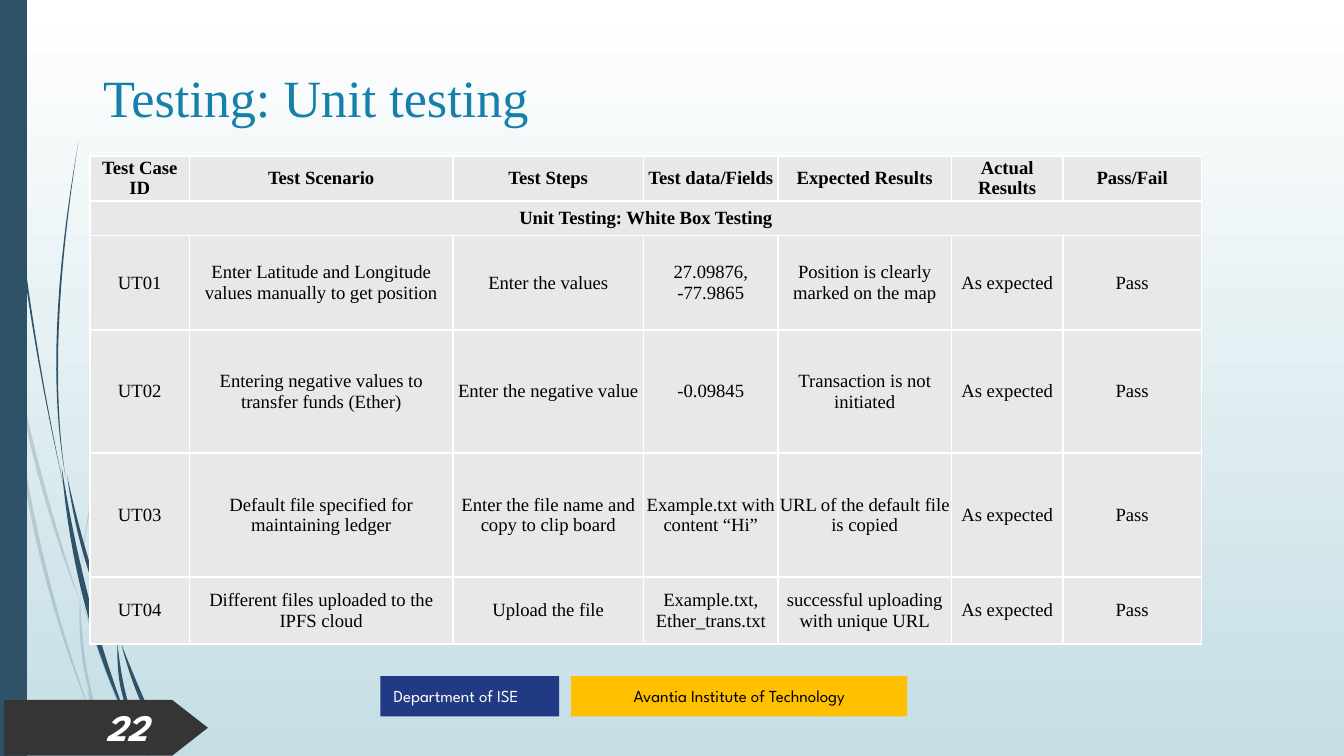
from lxml.etree import SubElement
from pptx import Presentation
from pptx.dml.color import RGBColor
from pptx.enum.shapes import MSO_SHAPE as Shape
from pptx.enum.text import MSO_ANCHOR as Anchor, PP_ALIGN as Align
from pptx.oxml.ns import qn
from pptx.util import Pt

WHITE = RGBColor(0xFF, 0xFF, 0xFF)
BLACK = RGBColor(0x00, 0x00, 0x00)
PALE_BLUE = RGBColor(0xC5, 0xDE, 0xE5)
SLATE = RGBColor(0x2E, 0x53, 0x69)
AMBER = RGBColor(0xFF, 0xC0, 0x00)
NAVY = RGBColor(0x22, 0x3A, 0x84)
CHARCOAL = RGBColor(0x35, 0x35, 0x35)
TEAL = RGBColor(0x15, 0x81, 0xAA)
LIGHT_GREY = RGBColor(0xE8, 0xE8, 0xE8)
SERIF, SANS = "Times New Roman", "League Spartan"

# Grass blades: start, middle and end of the curve, then the thickness at its middle
PALE_BLADES = [
    ((0, 156), (3, 173), (6, 189), 2),
    ((7, 187), (21, 253), (43, 323), 2),
    ((44, 322), (59, 364), (76, 405), 2),
    ((6, 189), (20, 288), (50, 386), 2),
    ((43, 317), (45, 354), (53, 384), 1.5),
    ((43, 318), (73, 198), (156, 83), 1),
    ((47, 369), (52, 387), (59, 405), 2),
]
DARK_BLADES = [
    ((2, 0), (11, 127), (34, 260), 1),
    ((36, 255), (47.5, 303), (64, 346), 2),
    ((65, 345), (77.5, 378), (92, 405), 2.5),
    ((33, 250), (47, 324), (70, 390), 3),
    ((35, 255), (31, 176), (42, 76), 1),
    ((64, 342), (88, 266), (156, 186), 1),
    ((63, 345), (66, 370), (73, 388), 2),
    ((66, 374), (70, 390), (79, 405), 2.5),
]
CURVE_STEPS = 16

COLUMN_WIDTHS = [53.3, 141.1, 102.2, 72, 92.9, 59.8, 74.2]
ROW_HEIGHTS = [18, 18.7, 50.4, 66.2, 66.2, 36]
SECTION_ROW = 1
RESULT = ["As expected", "Pass"]
ROWS = [
    ["Test Case ID", "Test Scenario", "Test Steps", "Test data/Fields", "Expected Results",
     "Actual Results", "Pass/Fail"],
    ["Unit Testing: White Box Testing"],
    ["UT01", "Enter Latitude and Longitude values manually to get position", "Enter the values",
     "27.09876, -77.9865", "Position is clearly marked on the map"] + RESULT,
    ["UT02", "Entering negative values to transfer funds (Ether)", "Enter the negative value",
     "-0.09845", "Transaction is not initiated"] + RESULT,
    ["UT03", "Default file specified for maintaining ledger",
     "Enter the file name and copy to clip board", "Example.txt with content “Hi”",
     "URL of the default file is copied"] + RESULT,
    ["UT04", "Different files uploaded to the IPFS cloud", "Upload the file",
     "Example.txt, Ether_trans.txt", "successful uploading with unique URL"] + RESULT,
]


def set_text(frame, text, size, font_name, color, align=Align.LEFT, bold=False, italic=False):
    frame.text = text
    frame.word_wrap = True
    paragraph = frame.paragraphs[0]
    paragraph.alignment = align
    font = paragraph.runs[0].font
    font.size, font.name, font.bold, font.italic = Pt(size), font_name, bold, italic
    font.color.rgb = color


def paint(shape, color):
    """Give the shape a plain fill, no line and no shadow."""
    shape.fill.solid()
    shape.fill.fore_color.rgb = color
    shape.line.fill.background()
    shape.shadow.inherit = False


presentation = Presentation()
presentation.slide_width, presentation.slide_height = Pt(720), Pt(405)
slide = presentation.slides.add_slide(presentation.slide_layouts[6])
shapes = slide.shapes

background = slide.background.fill
background.gradient()
background.gradient_angle = 270
for stop, color, position in zip(background.gradient_stops, (WHITE, PALE_BLUE), (0, 1)):
    stop.color.rgb = color
    stop.position = position

# Grass blades: quadratic curves that taper towards both ends
for blades, opacity in ((PALE_BLADES, 20), (DARK_BLADES, 100)):
    group = shapes.add_group_shape()
    for start, middle, end, thickness in blades:
        left_edge, right_edge = [], []
        for step in range(CURVE_STEPS + 1):
            t = step / CURVE_STEPS
            bulge = 4 * t * (1 - t)
            x, y = [(1 - t) * a + t * b + bulge * (m - (a + b) / 2)
                    for a, m, b in zip(start, middle, end)]
            half = bulge * thickness / 2
            left_edge.append((Pt(x - half), Pt(y)))
            right_edge.append((Pt(x + half), Pt(y)))
        outline = left_edge + right_edge[::-1]
        builder = group.shapes.build_freeform(*outline[0])
        builder.add_line_segments(outline[1:], close=True)
        blade = builder.convert_to_shape()
        paint(blade, SLATE)
        color_element = blade._element.spPr.find(f"{qn('a:solidFill')}/{qn('a:srgbClr')}")
        SubElement(color_element, qn("a:alpha"), val=str(opacity * 1000))

# Side bar, footer labels and page number
side_bar = shapes.add_shape(Shape.RECTANGLE, 0, 0, Pt(14.4), Pt(405))
paint(side_bar, SLATE)
for left, width, color, text, text_color, align in (
    (306, 180, AMBER, "Avantia Institute of Technology", BLACK, Align.CENTER),
    (203.8, 95.8, NAVY, "Department of ISE", WHITE, Align.LEFT),
):
    label = shapes.add_shape(Shape.RECTANGLE, Pt(left), Pt(362.2), Pt(width), Pt(21.6))
    paint(label, color)
    set_text(label.text_frame, text, 9, SANS, text_color, align)
page_arrow = shapes.add_shape(Shape.PENTAGON, Pt(2.2), Pt(375), Pt(109.2), Pt(29.8))
page_arrow.adjustments[0] = 0.64
paint(page_arrow, CHARCOAL)

title = shapes.add_textbox(Pt(48.2), Pt(28), Pt(612), Pt(84)).text_frame
title.margin_left = title.margin_right = title.margin_top = title.margin_bottom = Pt(7.2)
set_text(title, "Testing: Unit testing", 28, SERIF, TEAL)

page_number = shapes.add_textbox(Pt(40.3), Pt(378.7), Pt(46), Pt(21.6)).text_frame
page_number.vertical_anchor = Anchor.MIDDLE
set_text(page_number, "22", 20, SANS, WHITE, Align.RIGHT, bold=True, italic=True)

# Test case table
table = shapes.add_table(len(ROWS), len(COLUMN_WIDTHS), Pt(48.2), Pt(83.5),
                         Pt(sum(COLUMN_WIDTHS)), Pt(sum(ROW_HEIGHTS))).table
for column, width in zip(table.columns, COLUMN_WIDTHS):
    column.width = Pt(width)
for row, height in zip(table.rows, ROW_HEIGHTS):
    row.height = Pt(height)
table.cell(SECTION_ROW, 0).merge(table.cell(SECTION_ROW, len(COLUMN_WIDTHS) - 1))

for row_index, row in enumerate(table.rows):
    for column_index, cell in enumerate(row.cells):
        cell.margin_left = cell.margin_right = cell.margin_top = cell.margin_bottom = 0
        cell.vertical_anchor = Anchor.MIDDLE
        properties = cell._tc.get_or_add_tcPr()
        for side in ("a:lnL", "a:lnR", "a:lnT", "a:lnB"):
            border = SubElement(properties, qn(side), w=str(Pt(1)))
            SubElement(SubElement(border, qn("a:solidFill")), qn("a:srgbClr"), val=str(WHITE))
        cell.fill.solid()
        cell.fill.fore_color.rgb = LIGHT_GREY
        if column_index < len(ROWS[row_index]):
            set_text(cell.text_frame, ROWS[row_index][column_index], 10, SERIF, BLACK,
                     Align.CENTER, bold=row_index <= SECTION_ROW)

presentation.save("out.pptx")
